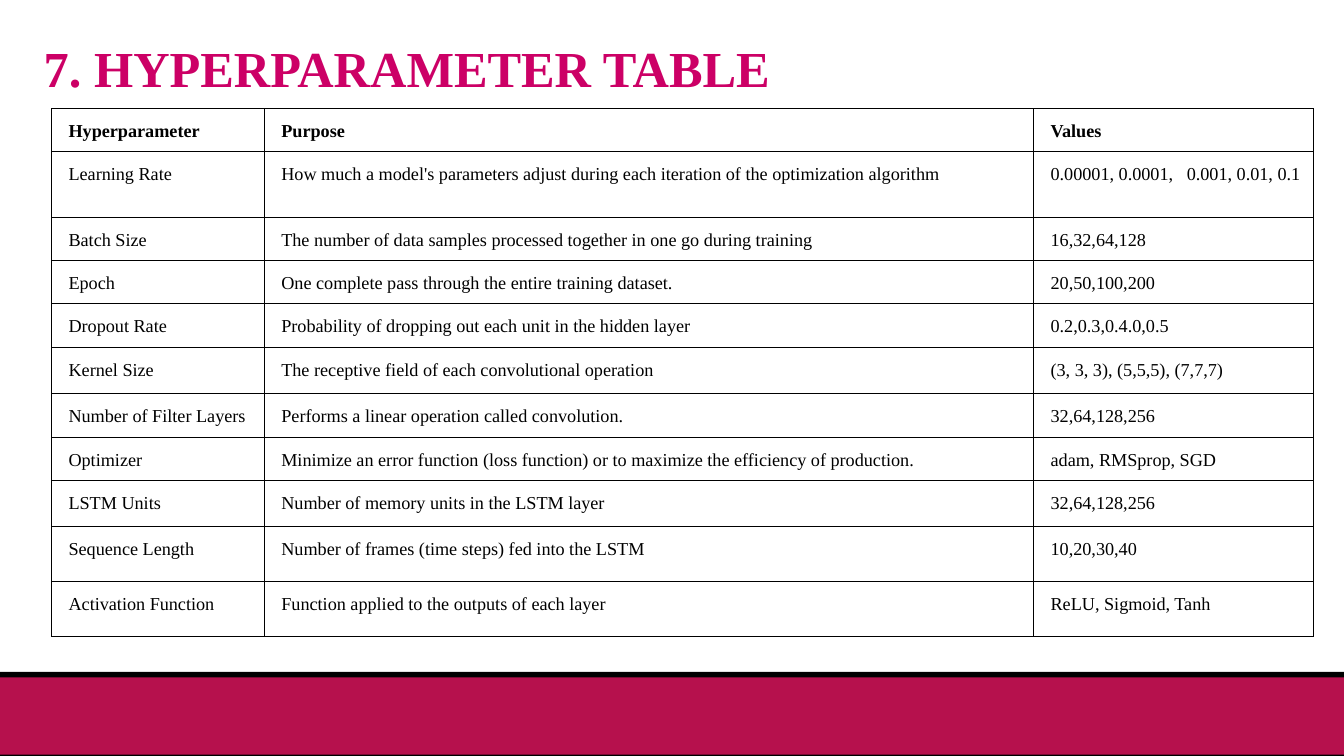
import pptx
import pptx.util
import pptx.dml.color
import pptx.enum.shapes
import pptx.enum.text
import pptx.oxml
import pptx.oxml.ns

Pt = pptx.util.Pt
COLORS = {"white": "FFFFFF", "black": "000000", "title": "CC0066", "footer": "B6114D"}
COLUMN_WIDTHS = [152, 549.5, 200]
ROW_HEIGHTS = [30.7, 47.1, 30.7, 30.7, 31.2, 33, 30.7, 30.7, 33, 39.2, 39.2]
HYPERPARAMETERS = [
    ("Hyperparameter", "Purpose", "Values"),
    ("Learning Rate",
     "How much a model's parameters adjust during each iteration of the optimization algorithm",
     "0.00001, 0.0001,   0.001, 0.01, 0.1"),
    ("Batch Size",
     "The number of data samples processed together in one go during training",
     "16,32,64,128"),
    ("Epoch", "One complete pass through the entire training dataset.", "20,50,100,200"),
    ("Dropout Rate", "Probability of dropping out each unit in the hidden layer",
     "0.2,0.3,0.4.0,0.5"),
    ("Kernel Size", "The receptive field of each convolutional operation",
     "(3, 3, 3), (5,5,5), (7,7,7)"),
    ("Number of Filter Layers", "Performs a linear operation called convolution.",
     "32,64,128,256"),
    ("Optimizer",
     "Minimize an error function (loss function) or to maximize the efficiency of production.",
     "adam, RMSprop, SGD"),
    ("LSTM Units", "Number of memory units in the LSTM layer", "32,64,128,256"),
    ("Sequence Length", "Number of frames (time steps) fed into the LSTM", "10,20,30,40"),
    ("Activation Function", "Function applied to the outputs of each layer",
     "ReLU, Sigmoid, Tanh"),
]


def rgb(name):
    return pptx.dml.color.RGBColor.from_string(COLORS[name])


class SlideBuilder:
    font_name = "Times New Roman"
    cell_inset = 7.2
    cell_indent = 5
    border_width = 0.6

    def __init__(self, slide):
        self.slide = slide
        slide.background.fill.solid()
        slide.background.fill.fore_color.rgb = rgb("white")

    def add_run(self, paragraph, text, size, color, bold=False):
        run = paragraph.add_run()
        run.text = text
        run.font.name = self.font_name
        run.font.size = Pt(size)
        run.font.bold = bold
        run.font.color.rgb = rgb(color)

    def bar(self, left, top, width, height, color):
        shape = self.slide.shapes.add_shape(
            pptx.enum.shapes.MSO_SHAPE.RECTANGLE, Pt(left), Pt(top), Pt(width), Pt(height))
        shape.shadow.inherit = False
        shape.fill.solid()
        shape.fill.fore_color.rgb = rgb(color)
        shape.line.fill.background()

    def title(self, text, left, top, width, height):
        shape = self.slide.shapes.title
        shape.left, shape.top = Pt(left), Pt(top)
        shape.width, shape.height = Pt(width), Pt(height)
        frame = shape.text_frame
        frame.auto_size = pptx.enum.text.MSO_AUTO_SIZE.NONE
        frame.vertical_anchor = pptx.enum.text.MSO_ANCHOR.MIDDLE
        paragraph = frame.paragraphs[0]
        paragraph.alignment = pptx.enum.text.PP_ALIGN.LEFT
        paragraph.line_spacing = 0.9
        self.add_run(paragraph, text, 36, "title", bold=True)

    def table(self, rows, left, top, column_widths, row_heights):
        table = self.slide.shapes.add_table(
            len(rows), len(column_widths), Pt(left), Pt(top),
            Pt(sum(column_widths)), Pt(sum(row_heights))).table
        table.first_row = True
        table.horz_banding = False
        for column, width in zip(table.columns, column_widths):
            column.width = Pt(width)
        for row, height in zip(table.rows, row_heights):
            row.height = Pt(height)
        for row_index, texts in enumerate(rows):
            for column_index, text in enumerate(texts):
                self.fill_cell(table.cell(row_index, column_index), text, bold=row_index == 0)

    def fill_cell(self, cell, text, bold):
        cell.margin_left = cell.margin_right = Pt(self.cell_inset)
        cell.margin_top = cell.margin_bottom = Pt(self.cell_inset)
        self.add_borders(cell)
        cell.fill.background()
        paragraph = cell.text_frame.paragraphs[0]
        paragraph.line_spacing = 1.15
        properties = paragraph._p.get_or_add_pPr()
        properties.set("marL", str(Pt(self.cell_indent)))
        properties.set("indent", "0")
        self.add_run(paragraph, text, 13, "black", bold)

    def add_borders(self, cell):
        for side in ("lnL", "lnR", "lnT", "lnB"):
            cell._tc.get_or_add_tcPr().append(pptx.oxml.parse_xml(
                f'<a:{side} {pptx.oxml.ns.nsdecls("a")} w="{Pt(self.border_width)}">'
                f'<a:solidFill><a:srgbClr val="{COLORS["black"]}"/></a:solidFill></a:{side}>'))


def main():
    presentation = pptx.Presentation()
    presentation.slide_width, presentation.slide_height = Pt(960), Pt(540)
    title_only_layout = presentation.slide_layouts[5]
    builder = SlideBuilder(presentation.slides.add_slide(title_only_layout))
    builder.bar(0, 480, 960, 60, "black")
    builder.bar(0, 483.8, 960, 55.2, "footer")
    builder.title("7. HYPERPARAMETER TABLE", 24, 24, 828, 53)
    builder.table(HYPERPARAMETERS, 36.8, 77.4, COLUMN_WIDTHS, ROW_HEIGHTS)
    presentation.save("out.pptx")


if __name__ == "__main__":
    main()
